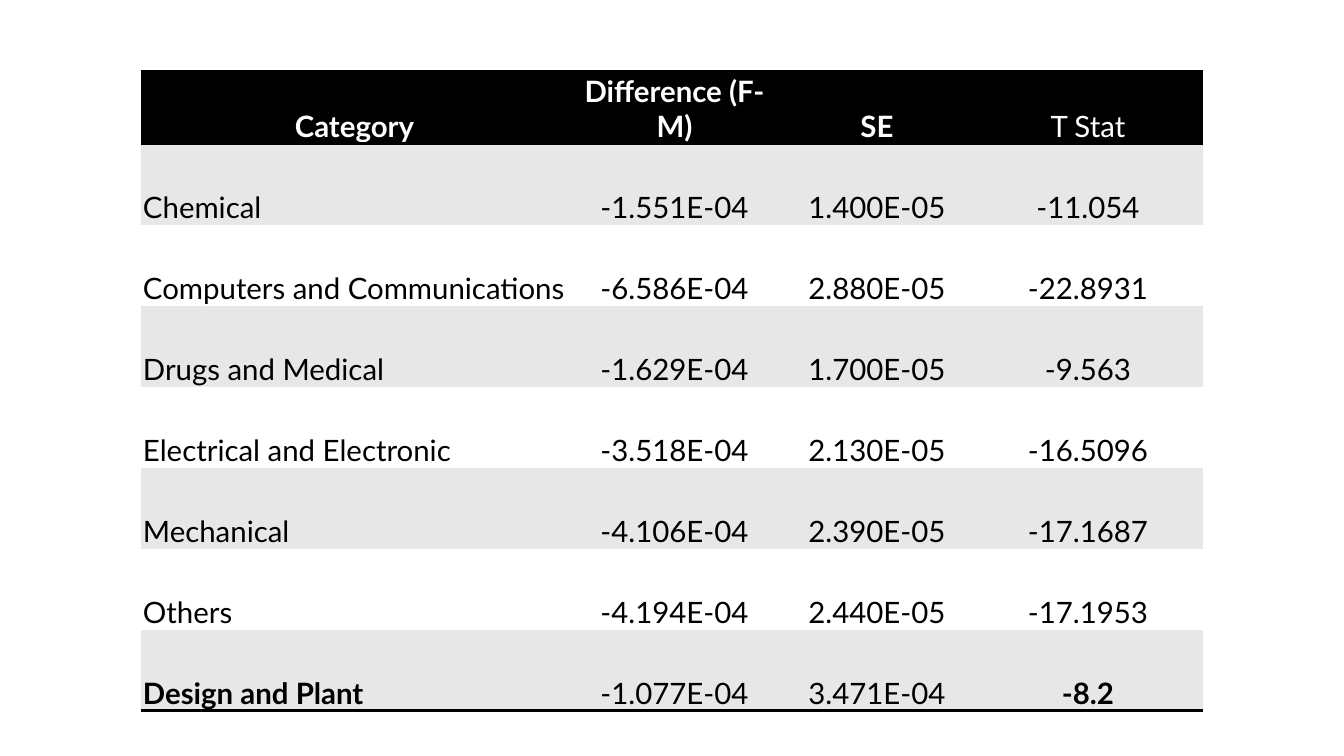
from lxml import etree
from pptx import Presentation
from pptx.dml.color import RGBColor
from pptx.enum.shapes import MSO_SHAPE
from pptx.enum.text import MSO_ANCHOR, PP_ALIGN
from pptx.oxml.ns import qn
from pptx.util import Pt

PX = 914400 / 100.8
SLIDE_WIDTH, SLIDE_HEIGHT = 1344, 756
BLACK = RGBColor(0x00, 0x00, 0x00)
WHITE = RGBColor(0xFF, 0xFF, 0xFF)
BAND = RGBColor(0xE7, 0xE7, 0xE7)
FONT = "Lato"
PLAIN_TABLE = "{2D5ABB26-0587-4C30-8999-92F81FD0307C}"

COLUMN_WIDTHS = [427, 213, 192, 230]
HEADER_HEIGHT, ROW_HEIGHT = 45, 81
ROWS = [
    ("Category", "Difference (F-M)", "SE", "T Stat"),
    ("Chemical", "-1.551E-04", "1.400E-05", "-11.054"),
    ("Computers and Communications", "-6.586E-04", "2.880E-05", "-22.8931"),
    ("Drugs and Medical", "-1.629E-04", "1.700E-05", "-9.563"),
    ("Electrical and Electronic", "-3.518E-04", "2.130E-05", "-16.5096"),
    ("Mechanical", "-4.106E-04", "2.390E-05", "-17.1687"),
    ("Others", "-4.194E-04", "2.440E-05", "-17.1953"),
    ("Design and Plant", "-1.077E-04", "3.471E-04", "-8.2"),
]
LAST = len(ROWS) - 1
BOLD_CELLS = {(0, 0), (0, 1), (0, 2), (LAST, 0), (LAST, 3)}


def px(length):
    return round(length * PX)


def add_rules(cell, sides):
    """Draw black borders on the given sides, named as in XML and in its order."""
    properties = cell._tc.get_or_add_tcPr()
    for index, side in enumerate(sides):
        line = etree.Element(qn(f"a:{side}"), w=str(Pt(2)))
        fill = etree.SubElement(line, qn("a:solidFill"))
        etree.SubElement(fill, qn("a:srgbClr"), val=str(BLACK))
        properties.insert(index, line)


def fill_cell(cell, text, row, column):
    header = row == 0
    cell.text = text
    cell.vertical_anchor = MSO_ANCHOR.BOTTOM
    cell.margin_left = cell.margin_right = cell.margin_top = px(2)
    cell.margin_bottom = 0
    cell.fill.solid()
    cell.fill.fore_color.rgb = BLACK if header else BAND if row % 2 else WHITE

    para = cell.text_frame.paragraphs[0]
    para.alignment = PP_ALIGN.CENTER if header or column else PP_ALIGN.LEFT
    para.font.name = FONT
    para.font.size = Pt(21)
    para.font.bold = (row, column) in BOLD_CELLS
    para.font.color.rgb = WHITE if header else BLACK

    if header:
        add_rules(cell, ["lnT", "lnB"])
    elif row == LAST:
        add_rules(cell, ["lnB"])


def add_backdrop(page, left, top, width, height):
    backdrop = page.shapes.add_shape(
        MSO_SHAPE.RECTANGLE, px(left), px(top), px(width), px(height))
    backdrop.shadow.inherit = False
    backdrop.fill.solid()
    backdrop.fill.fore_color.rgb = WHITE
    backdrop.line.fill.background()


def add_results_table(page, left, top):
    height = HEADER_HEIGHT + ROW_HEIGHT * LAST
    frame = page.shapes.add_table(
        len(ROWS), len(COLUMN_WIDTHS),
        px(left), px(top), px(sum(COLUMN_WIDTHS)), px(height))
    table = frame.table
    table.horz_banding = False
    table._tbl.tblPr.find(qn("a:tableStyleId")).text = PLAIN_TABLE
    for column, width in zip(table.columns, COLUMN_WIDTHS):
        column.width = px(width)
    for row, texts in enumerate(ROWS):
        table.rows[row].height = px(ROW_HEIGHT if row else HEADER_HEIGHT)
        for column, text in enumerate(texts):
            fill_cell(table.cell(row, column), text, row, column)


def main():
    deck = Presentation()
    deck.slide_width = px(SLIDE_WIDTH)
    deck.slide_height = px(SLIDE_HEIGHT)
    page = deck.slides.add_slide(deck.slide_layouts[6])
    add_backdrop(page, 0, 0, SLIDE_WIDTH, SLIDE_HEIGHT)
    add_results_table(page, 141, 71)
    deck.save("out.pptx")


if __name__ == "__main__":
    main()
